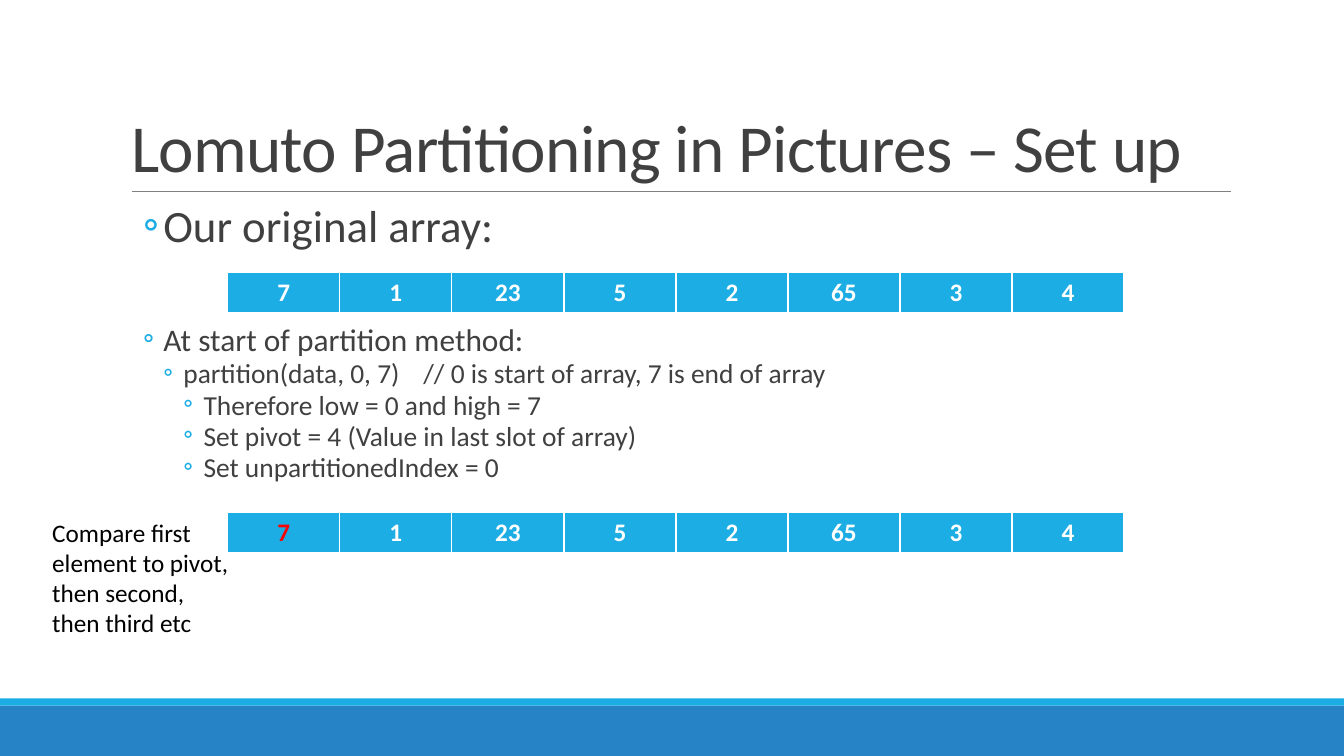
"""Build a slide on setting up Lomuto partitioning."""
from lxml import etree
from pptx import Presentation
from pptx import util as u
from pptx.dml.color import RGBColor
from pptx.enum import shapes, text
from pptx.oxml.ns import qn

CYAN = RGBColor(0x1C, 0xAD, 0xE4)
BLUE = RGBColor(0x26, 0x83, 0xC6)
DARK = RGBColor(0x40, 0x40, 0x40)
GREY = RGBColor(0x80, 0x80, 0x80)
WHITE = RGBColor(0xFF, 0xFF, 0xFF)
BLACK = RGBColor(0, 0, 0)
RED = RGBColor(0xFF, 0, 0)
ARRAY = [7, 1, 23, 5, 2, 65, 3, 4]
BORDERS = {"a:lnL": 1, "a:lnR": 1, "a:lnT": 1, "a:lnB": 3}


class SlideBuilder:
    """Hold the style and the current slide."""

    font = "Calibri"

    def __init__(self, deck):
        self.slide = deck.slides.add_slide(deck.slide_layouts[5])

    def style(self, paragraph, size, color, bold=False):
        for run in paragraph.runs:
            run.font.name = self.font
            run.font.size = u.Pt(size)
            run.font.color.rgb = color
            run.font.bold = bold

    def bar(self, top, height, color):
        band = self.slide.shapes.add_shape(
            shapes.MSO_SHAPE.RECTANGLE, 0, u.Inches(top), u.Inches(13.33), u.Inches(height))
        band.shadow.inherit = False
        band.fill.solid()
        band.fill.fore_color.rgb = color
        band.line.fill.background()

    def rule(self, left, right, y):
        divider = self.slide.shapes.add_connector(
            shapes.MSO_CONNECTOR.STRAIGHT, u.Inches(left), u.Inches(y), u.Inches(right), u.Inches(y))
        divider.line.color.rgb = GREY
        divider.line.width = u.Pt(0.5)
        etree.SubElement(divider._element.spPr, qn("a:effectLst"))

    def title(self, wording, left, top, width, height):
        heading = self.slide.shapes.title
        heading.left, heading.top = u.Inches(left), u.Inches(top)
        heading.width, heading.height = u.Inches(width), u.Inches(height)
        frame = heading.text_frame
        frame.text = wording
        frame.auto_size = text.MSO_AUTO_SIZE.NONE
        frame.vertical_anchor = text.MSO_ANCHOR.BOTTOM
        line = frame.paragraphs[0]
        line.alignment = text.PP_ALIGN.LEFT
        line.line_spacing = 0.85
        self.style(line, 48, DARK)
        line.runs[0].font._element.set("spc", "-50")

    def text_box(self, left, top, width, height):
        frame = self.slide.shapes.add_textbox(
            u.Inches(left), u.Inches(top), u.Inches(width), u.Inches(height)).text_frame
        frame.word_wrap = True
        return frame

    def note(self, wording, left, top, width, height):
        frame = self.text_box(left, top, width, height)
        frame.text = wording
        self.style(frame.paragraphs[0], 18, BLACK)

    def bullets(self, items, top, height, spacing):
        frame = self.text_box(1.2, top, 11, height)
        frame.margin_left = frame.margin_right = 0
        frame.text = "\n".join(wording for _, _, wording in items)
        for line, (level, size, _) in zip(frame.paragraphs, items):
            line.level = level
            line.line_spacing = spacing
            line.space_before, line.space_after = u.Pt(2), u.Pt(4)
            self.style(line, size, DARK)
            props = line._p.get_or_add_pPr()
            props.set("marL", str(u.Inches(0.22 + 0.2 * level)))
            props.set("indent", str(u.Inches(-0.2)))
            tint = etree.SubElement(props, qn("a:buClr"))
            etree.SubElement(tint, qn("a:srgbClr"), val=str(CYAN))
            etree.SubElement(props, qn("a:buFont"), typeface=self.font)
            etree.SubElement(props, qn("a:buChar"), char="◦")

    def array(self, values, top, marked=None):
        grid = self.slide.shapes.add_table(
            1, len(values), u.Inches(2.26), u.Inches(top), u.Inches(8.89), u.Inches(0.41)).table
        for index, value in enumerate(values):
            cell = grid.cell(0, index)
            cell.text_frame.text = str(value)
            entry = cell.text_frame.paragraphs[0]
            entry.alignment = text.PP_ALIGN.CENTER
            self.style(entry, 18, RED if index == marked else WHITE, bold=True)
            props = cell._tc.get_or_add_tcPr()
            for side, weight in BORDERS.items():
                border = etree.SubElement(props, qn(side), w=str(u.Pt(weight)))
                paint = etree.SubElement(border, qn("a:solidFill"))
                etree.SubElement(paint, qn("a:srgbClr"), val=str(WHITE))
            cell.fill.solid()
            cell.fill.fore_color.rgb = CYAN


def main():
    deck = Presentation()
    deck.slide_width, deck.slide_height = u.Inches(13.33), u.Inches(7.5)
    page = SlideBuilder(deck)
    page.bar(7, 0.5, BLUE)
    page.bar(6.93, 0.07, CYAN)
    page.rule(1.31, 12.21, 1.9)
    page.title("Lomuto Partitioning in Pictures – Set up", 1.2, 0.31, 11, 1.59)
    page.bullets([(1, 32, "Our original array:")], 2.02, 0.56, 0.8)
    page.array(ARRAY, 2.7)
    page.bullets([
        (1, 22.4, "At start of partition method:"),
        (2, 19.6, "partition(data, 0, 7)\t// 0 is start of array, 7 is end of array"),
        (3, 19.6, "Therefore low = 0 and high = 7"),
        (3, 19.6, "Set pivot = 4 (Value in last slot of array)"),
        (3, 19.6, "Set unpartitionedIndex = 0"),
    ], 3.23, 1.73, 0.7)
    page.array(ARRAY, 5.08, marked=0)
    page.note("Compare first element to pivot, then second, then third etc", 0.42, 5.08, 1.96, 1.31)
    deck.save("out.pptx")


if __name__ == "__main__":
    main()
